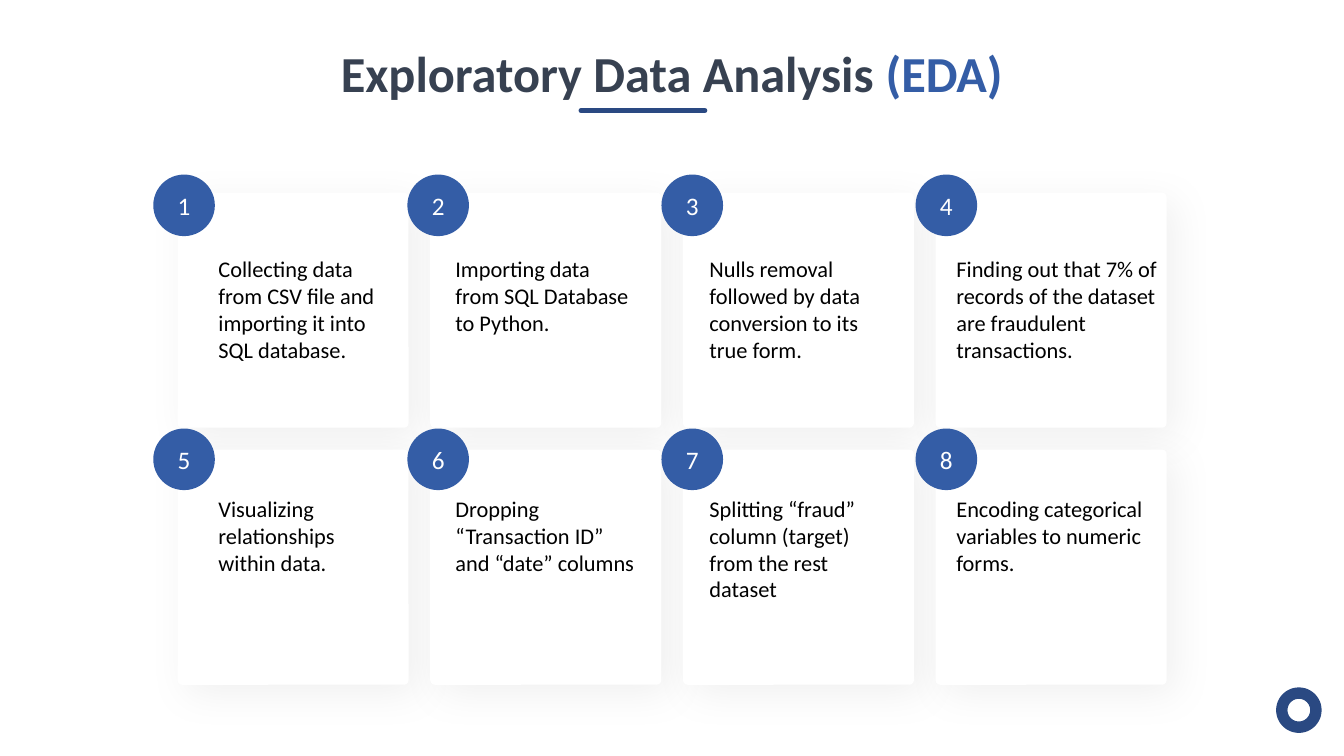
"""Build the slide of eight numbered steps of exploratory data analysis."""
import pptx
import pptx.dml.color
import pptx.enum.shapes
import pptx.enum.text
import pptx.oxml
import pptx.oxml.ns
import pptx.util
from lxml import etree

Pt = pptx.util.Pt
RGB = pptx.dml.color.RGBColor.from_string
KIND = pptx.enum.shapes.MSO_SHAPE
ALIGN = pptx.enum.text.PP_ALIGN
FIT = pptx.enum.text.MSO_AUTO_SIZE
MID = pptx.enum.text.MSO_ANCHOR.MIDDLE
qn = pptx.oxml.ns.qn

hues = {"card": "FFFFFF", "blue": "345DA6", "navy": "2A4982",
        "slate": "374151", "text": "000000"}
forms = {
    "title": {"name": "Calibri", "size": Pt(36), "bold": True},
    "step": {"name": "Calibri", "size": Pt(16)},
    "num": {"name": "Calibri", "size": Pt(18)},
}
steps = [
    "Collecting data from CSV file and importing it into SQL database.",
    "Importing data from SQL Database to Python.",
    "Nulls removal followed by data conversion to its true form.",
    "Finding out that 7% of records of the dataset are fraudulent transactions.",
    "Visualizing relationships within data.",
    "Dropping “Transaction ID” and “date” columns",
    "Splitting “fraud” column (target) from the rest dataset",
    "Encoding categorical variables to numeric forms.",
]
cols = [(149, 132.5), (318.2, 142.5), (499.7, 142.5), (676.1, 158)]
rows = [179, 350]
shade = (
    f'<a:effectLst {pptx.oxml.ns.nsdecls("a")}>'
    f'<a:outerShdw blurRad="{Pt(29)}" dist="{Pt(9)}" dir="2700000" '
    'algn="tl" rotWithShape="0"><a:srgbClr val="000000">'
    '<a:alpha val="5000"/></a:srgbClr></a:outerShdw></a:effectLst>'
)

deck = pptx.Presentation()
deck.slide_width, deck.slide_height = Pt(960), Pt(540)
slide = deck.slides.add_slide(deck.slide_layouts[5])
shapes = slide.shapes


def draw(kind, box, hue):
    """Add a plain filled shape without outline or shadow."""
    shape = shapes.add_shape(kind, *map(Pt, box))
    shape.shadow.inherit = False
    shape.fill.solid()
    shape.fill.fore_color.rgb = RGB(hues[hue])
    shape.line.fill.background()
    return shape


def write(para, text, form, hue):
    """Add a run of text in the given format and colour."""
    run = para.add_run()
    run.text = text
    for key, val in forms[form].items():
        setattr(run.font, key, val)
    run.font.color.rgb = RGB(hues[hue])


title = shapes.title
title.left, title.top, title.width, title.height = map(Pt, (188.6, 26, 582.5, 51))
frame = title.text_frame
frame.auto_size = FIT.NONE
frame.vertical_anchor = MID
head = frame.paragraphs[0]
head.alignment = ALIGN.CENTER
write(head, "Exploratory Data Analysis ", "title", "slate")
write(head, "(EDA)", "title", "blue")

for i in range(len(steps)):
    row, col = divmod(i, 4)
    box = (126.8 + 180.5 * col, 137.5 + 183.6 * row, 165, 168)
    card = draw(KIND.ROUNDED_RECTANGLE, box, "card")
    card.adjustments[0] = 0.02
    props = card._element.spPr
    props.replace(props.find(qn("a:effectLst")), pptx.oxml.parse_xml(shade))

for i, step in enumerate(steps):
    row, col = divmod(i, 4)
    left, width = cols[col]
    note = shapes.add_textbox(Pt(left), Pt(rows[row]), Pt(width), Pt(85))
    note.text_frame.word_wrap = True
    write(note.text_frame.paragraphs[0], step, "step", "text")

for i in range(len(steps)):
    row, col = divmod(i, 4)
    box = (109.5 + 181.5 * col, 124.7 + 181.4 * row, 44, 44)
    disc = draw(KIND.OVAL, box, "blue")
    disc.text_frame.vertical_anchor = MID
    para = disc.text_frame.paragraphs[0]
    para.alignment = ALIGN.CENTER
    write(para, str(i + 1), "num", "card")

rule = shapes.add_connector(pptx.enum.shapes.MSO_CONNECTOR.STRAIGHT,
                            Pt(415), Pt(79), Pt(503.5), Pt(79))
rule.line.width = Pt(3.5)
rule.line.color.rgb = RGB(hues["navy"])
props = rule._element.spPr
props.find(qn("a:ln")).set("cap", "rnd")
etree.SubElement(props, qn("a:effectLst"))

draw(KIND.DONUT, (911.5, 491, 32.5, 32.5), "navy")

deck.save("out.pptx")
